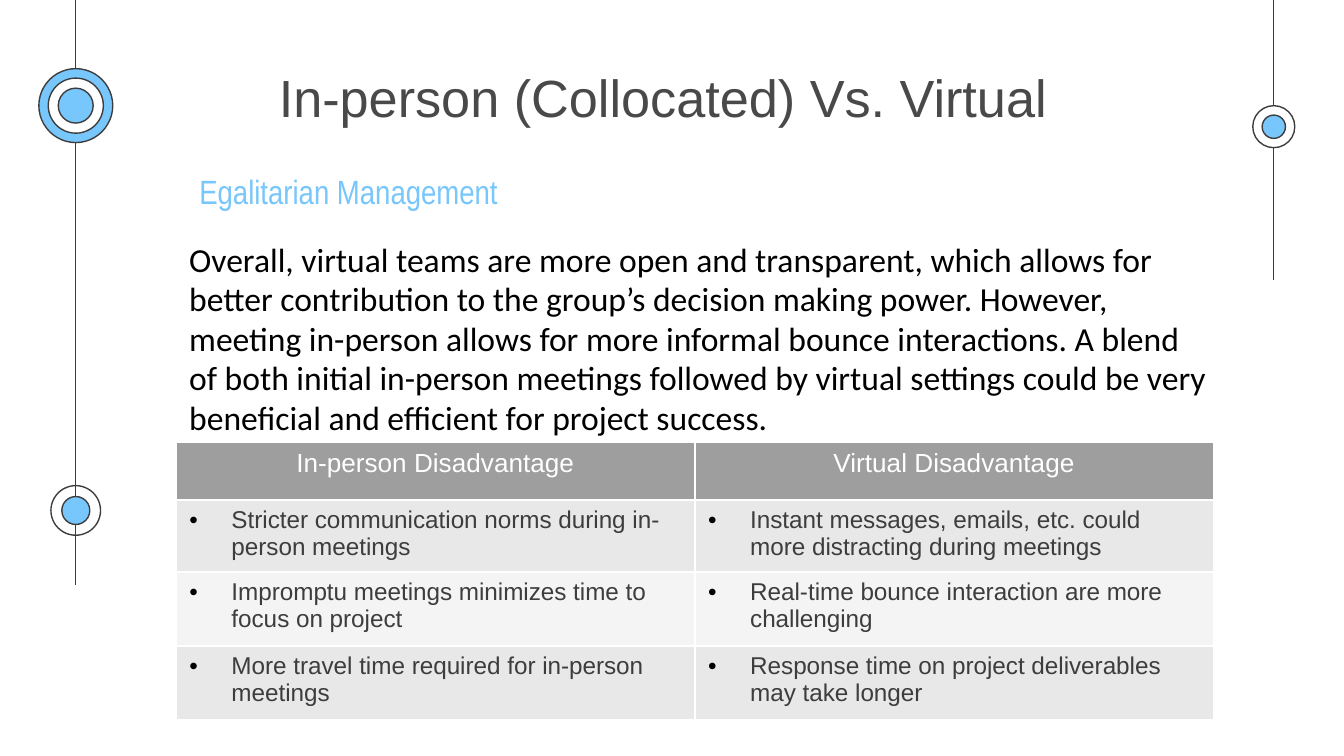
from lxml.etree import SubElement
from pptx import Presentation
from pptx.dml.color import RGBColor
from pptx.enum.shapes import MSO_CONNECTOR, MSO_SHAPE
from pptx.enum.text import MSO_ANCHOR, PP_ALIGN
from pptx.oxml.ns import qn
from pptx.util import Pt

WHITE = RGBColor(0xFF, 0xFF, 0xFF)
BLACK = RGBColor(0x00, 0x00, 0x00)
BLUE = RGBColor(0x77, 0xC6, 0xFC)
INK = RGBColor(0x3D, 0x3D, 0x3D)
TITLE_GRAY = RGBColor(0x49, 0x49, 0x49)
HEADER_GRAY = RGBColor(0x9E, 0x9E, 0x9E)
BAND_DARK = RGBColor(0xE8, 0xE8, 0xE8)
BAND_LIGHT = RGBColor(0xF4, 0xF4, 0xF4)

SUMMARY = (
    "Overall, virtual teams are more open and transparent, which allows for "
    "better contribution to the group’s decision making power. However, meeting "
    "in-person allows for more informal bounce interactions. A blend of both "
    "initial in-person meetings followed by virtual settings could be very "
    "beneficial and efficient for project success."
)
ROWS = [
    ("In-person Disadvantage", "Virtual Disadvantage"),
    ("Stricter communication norms during in-person meetings",
     "Instant messages, emails, etc. could more distracting during meetings"),
    ("Impromptu meetings minimizes time to focus on project",
     "Real-time bounce interaction are more challenging"),
    ("More travel time required for in-person meetings",
     "Response time on project deliverables may take longer"),
]
ROW_HEIGHTS = (31, 37, 39.6, 39.6)


def format_paragraph(paragraph, font_name, size, color, align=PP_ALIGN.LEFT):
    paragraph.alignment = align
    font = paragraph.font
    font.name, font.size, font.bold = font_name, Pt(size), False
    font.color.rgb = color


def place_text(shape, box, text, anchor=MSO_ANCHOR.TOP):
    """Move a text shape into its box and return its only paragraph."""
    shape.left, shape.top, shape.width, shape.height = map(Pt, box)
    frame = shape.text_frame
    frame.word_wrap = True
    frame.vertical_anchor = anchor
    frame.margin_left = frame.margin_right = Pt(7.2)
    frame.margin_top = frame.margin_bottom = Pt(7.2)
    frame.text = text
    return frame.paragraphs[0]


def add_timeline(slide, x, length, nodes):
    """Vertical line from the top edge; each node is (center y, rings)."""
    line = slide.shapes.add_connector(
        MSO_CONNECTOR.STRAIGHT, Pt(x), Pt(0), Pt(x), Pt(length))
    line.line.color.rgb = INK
    line.line.width = Pt(0.75)
    SubElement(line._element.spPr, qn("a:effectLst"))
    for y, rings in nodes:
        for diameter, color in rings:
            ring = slide.shapes.add_shape(
                MSO_SHAPE.OVAL, Pt(x - diameter / 2), Pt(y - diameter / 2),
                Pt(diameter), Pt(diameter))
            ring.shadow.inherit = False
            ring.line.color.rgb = INK
            ring.line.width = Pt(0.75)
            if color is None:
                ring.fill.background()
            else:
                ring.fill.solid()
                ring.fill.fore_color.rgb = color


def add_header(slide, title_box, subtitle_box):
    title = place_text(slide.shapes.title, title_box,
                       "In-person (Collocated) Vs. Virtual", MSO_ANCHOR.MIDDLE)
    title.line_spacing = 1.1
    format_paragraph(title, "Arial", 28, TITLE_GRAY, PP_ALIGN.CENTER)
    subtitle = place_text(slide.shapes.add_textbox(0, 0, 0, 0), subtitle_box,
                          "Egalitarian Management")
    format_paragraph(subtitle, "Arial Narrow", 18, BLUE, PP_ALIGN.CENTER)


def add_summary(slide, box):
    summary = place_text(slide.shapes.add_textbox(0, 0, 0, 0), box, SUMMARY)
    summary.line_spacing = 0.98
    format_paragraph(summary, "Calibri", 18, BLACK)


def add_solid_color(parent, color):
    SubElement(SubElement(parent, qn("a:solidFill")),
               qn("a:srgbClr"), val=str(color))


def add_borders(cell):
    properties = cell._tc.get_or_add_tcPr()
    for side in ("a:lnL", "a:lnR", "a:lnT", "a:lnB"):
        add_solid_color(SubElement(properties, qn(side), w=str(Pt(1))), WHITE)


def add_bullet(paragraph):
    properties = paragraph._p.get_or_add_pPr()
    properties.set("marL", str(Pt(22.5)))
    properties.set("indent", str(Pt(-22.5)))
    bullet_color = SubElement(properties, qn("a:buClr"))
    SubElement(bullet_color, qn("a:srgbClr"), val=str(BLACK))
    SubElement(properties, qn("a:buFont"), typeface="Arial")
    SubElement(properties, qn("a:buChar"), char="•")


def add_comparison_table(slide, left, top, width):
    table = slide.shapes.add_table(
        len(ROWS), 2, Pt(left), Pt(top), Pt(width), Pt(sum(ROW_HEIGHTS))).table
    for column in table.columns:
        column.width = Pt(width / 2)
    for row_index, (texts, height) in enumerate(zip(ROWS, ROW_HEIGHTS)):
        table.rows[row_index].height = Pt(height)
        for column_index, text in enumerate(texts):
            cell = table.cell(row_index, column_index)
            add_borders(cell)
            cell.fill.solid()
            cell.text = text
            paragraph = cell.text_frame.paragraphs[0]
            if row_index == 0:
                cell.fill.fore_color.rgb = HEADER_GRAY
                format_paragraph(paragraph, "Arial", 14, WHITE, PP_ALIGN.CENTER)
            else:
                cell.fill.fore_color.rgb = BAND_DARK if row_index % 2 else BAND_LIGHT
                add_bullet(paragraph)
                format_paragraph(paragraph, "Arial", 13, INK)


def main():
    presentation = Presentation()
    presentation.slide_width, presentation.slide_height = Pt(720), Pt(405)
    slide = presentation.slides.add_slide(presentation.slide_layouts[5])

    # Side decorations
    add_timeline(slide, 40.6, 313.2, [
        (56.6, [(39.6, BLUE), (29.5, WHITE), (18.7, BLUE)]),
        (273.5, [(26.6, None), (15, BLUE)]),
    ])
    add_timeline(slide, 682.4, 149.8, [(67.9, [(22.5, WHITE), (12.5, BLUE)])])

    # Content
    add_header(slide, (135.4, 26.6, 439.2, 46.8), (80.6, 84.2, 212.4, 25.9))
    add_summary(slide, (94.3, 121.7, 561.6, 66.2))
    add_comparison_table(slide, 94.3, 236.9, 555.8)

    presentation.save("out.pptx")


if __name__ == "__main__":
    main()
